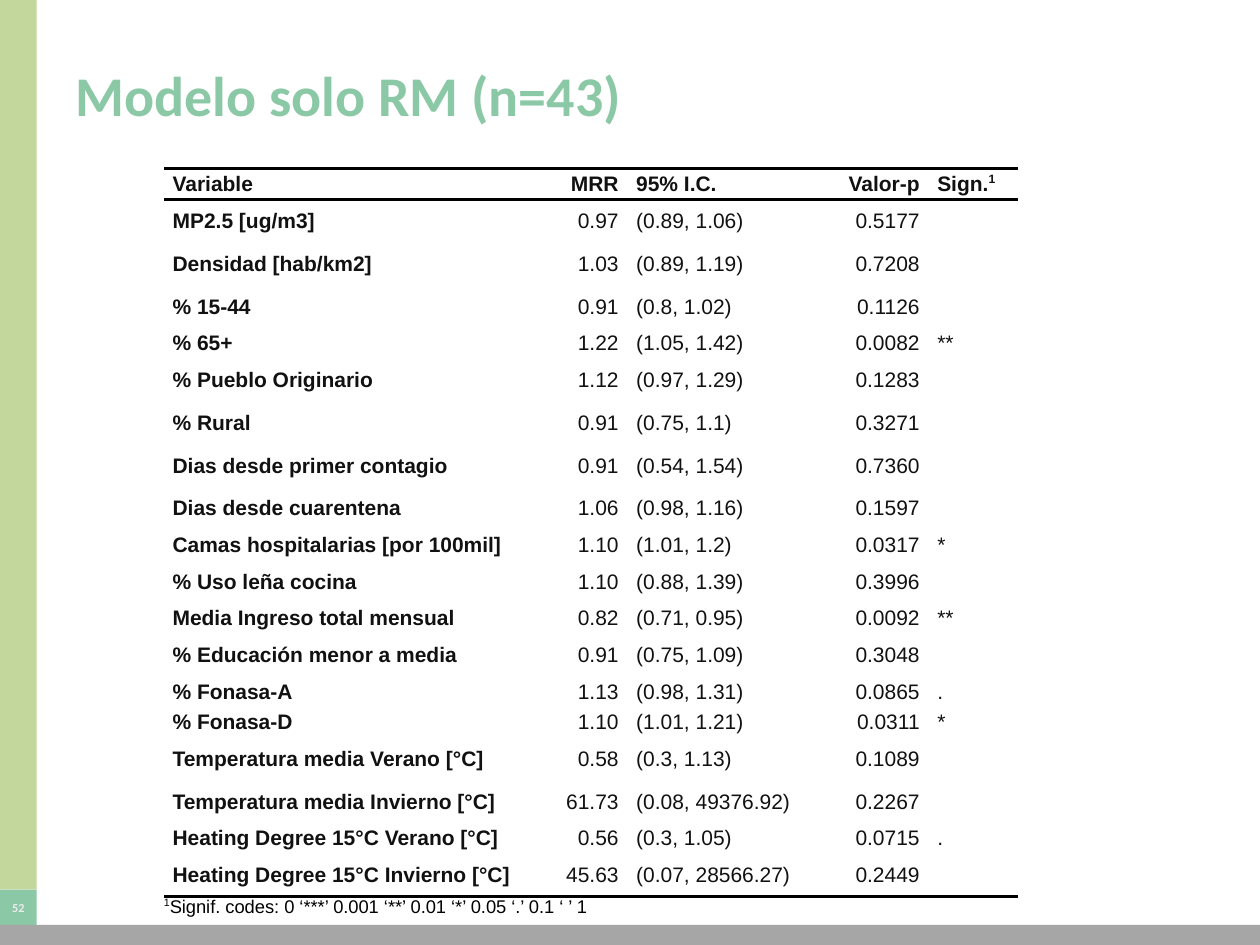
from dataclasses import dataclass
from typing import NamedTuple

from lxml import etree
from pptx import Presentation
from pptx import util as u
from pptx.dml.color import RGBColor
from pptx.enum import shapes, text
from pptx.oxml import ns


@dataclass(frozen=True)
class Theme:
    side: str = "C3D69B"
    accent: str = "8BC8A6"
    base: str = "A6A6A6"
    number: str = "ECECEC"
    ink: str = "111111"
    rule: str = "000000"
    heading_font: str = "Calibri"
    table_font: str = "Arial"
    title_size: float = 32
    table_size: float = 12
    note_size: float = 10.5
    number_size: float = 7
    rule_width: float = 2


class Bar(NamedTuple):
    left: float
    top: float
    width: float
    height: float
    color: str
    label: str = ""


class Result(NamedTuple):
    variable: str
    mrr: str
    interval: str
    p_value: str
    sign: str = ""


THEME = Theme()
LEFT, RIGHT = text.PP_ALIGN.LEFT, text.PP_ALIGN.RIGHT
PLAIN_TABLE_STYLE = "{2D5ABB26-0587-4C30-8999-92F81FD0307C}"

BARS = [
    Bar(0, 0, 0.29, 7.06, THEME.side),
    Bar(0, 7.06, 0.29, 0.29, THEME.accent, "52"),
    Bar(0, 7.34, 10, 0.16, THEME.base),
]

HEADER = Result("Variable", "MRR", "95% I.C.", "Valor-p", "Sign.")
RESULTS = [
    Result("MP2.5 [ug/m3]", "0.97", "(0.89, 1.06)", "0.5177"),
    Result("Densidad [hab/km2]", "1.03", "(0.89, 1.19)", "0.7208"),
    Result("% 15-44", "0.91", "(0.8, 1.02)", "0.1126"),
    Result("% 65+", "1.22", "(1.05, 1.42)", "0.0082", "**"),
    Result("% Pueblo Originario", "1.12", "(0.97, 1.29)", "0.1283"),
    Result("% Rural", "0.91", "(0.75, 1.1)", "0.3271"),
    Result("Dias desde primer contagio", "0.91", "(0.54, 1.54)", "0.7360"),
    Result("Dias desde cuarentena", "1.06", "(0.98, 1.16)", "0.1597"),
    Result("Camas hospitalarias [por 100mil]", "1.10", "(1.01, 1.2)", "0.0317", "*"),
    Result("% Uso leña cocina", "1.10", "(0.88, 1.39)", "0.3996"),
    Result("Media Ingreso total mensual", "0.82", "(0.71, 0.95)", "0.0092", "**"),
    Result("% Educación menor a media", "0.91", "(0.75, 1.09)", "0.3048"),
    Result("% Fonasa-A", "1.13", "(0.98, 1.31)", "0.0865", "."),
    Result("% Fonasa-D", "1.10", "(1.01, 1.21)", "0.0311", "*"),
    Result("Temperatura media Verano [°C]", "0.58", "(0.3, 1.13)", "0.1089"),
    Result("Temperatura media Invierno [°C]", "61.73", "(0.08, 49376.92)", "0.2267"),
    Result("Heating Degree 15°C Verano [°C]", "0.56", "(0.3, 1.05)", "0.0715", "."),
    Result("Heating Degree 15°C Invierno [°C]", "45.63", "(0.07, 28566.27)", "0.2449"),
]
NOTE = "Signif. codes: 0 ‘***’ 0.001 ‘**’ 0.01 ‘*’ 0.05 ‘.’ 0.1 ‘ ’ 1"
COLUMN_WIDTHS = [2.96, 0.72, 1.52, 0.87, 0.71]
COLUMN_ALIGNS = [LEFT, RIGHT, LEFT, RIGHT, LEFT]
# Rows without a significance mark are taller
MARKED_HEIGHT, UNMARKED_HEIGHT, NOTE_HEIGHT = 0.24, 0.34, 0.12


def style_font(font, name: str, size: float, color: str, bold: bool = False) -> None:
    font.name = name
    font.size = u.Pt(size)
    font.bold = bold
    font.color.rgb = RGBColor.from_string(color)


def add_bar(page, bar: Bar) -> None:
    box = page.shapes.add_shape(
        shapes.MSO_SHAPE.RECTANGLE,
        *(u.Inches(length) for length in bar[:4]),
    )
    box.shadow.inherit = False
    box.fill.solid()
    box.fill.fore_color.rgb = RGBColor.from_string(bar.color)
    box.line.fill.background()
    if bar.label:
        frame = box.text_frame
        frame.margin_left = frame.margin_right = 0
        frame.text = bar.label
        para = frame.paragraphs[0]
        para.alignment = text.PP_ALIGN.CENTER
        style_font(para.runs[0].font, THEME.heading_font, THEME.number_size,
                   THEME.number, bold=True)


def add_rule(cell, side: str) -> None:
    """Draw a cell border; side is 'lnT' or 'lnB'."""
    properties = cell._tc.get_or_add_tcPr()
    line = etree.SubElement(properties, ns.qn(f"a:{side}"), w=str(u.Pt(THEME.rule_width)))
    fill = etree.SubElement(line, ns.qn("a:solidFill"))
    etree.SubElement(fill, ns.qn("a:srgbClr"), val=THEME.rule)


def add_superscript(para, mark: str) -> None:
    span = para.add_run()
    span.text = mark
    span.font._element.set("baseline", "40000")


def format_cell(cell, sides: list[str], side_margin: float, end_margin: float) -> None:
    for side in sides:
        add_rule(cell, side)
    cell.fill.background()
    cell.vertical_anchor = text.MSO_ANCHOR.MIDDLE
    cell.margin_left = cell.margin_right = u.Inches(side_margin)
    cell.margin_top = cell.margin_bottom = u.Pt(end_margin)


def add_results_table(page) -> None:
    rows = [HEADER, *RESULTS]
    heights = [MARKED_HEIGHT if row.sign else UNMARKED_HEIGHT for row in rows]
    heights.append(NOTE_HEIGHT)
    table = page.shapes.add_table(
        len(heights), len(COLUMN_WIDTHS), u.Inches(1.3), u.Inches(1.34),
        u.Inches(sum(COLUMN_WIDTHS)), u.Inches(sum(heights)),
    ).table
    table.first_row = table.horz_banding = False
    table._tbl.tblPr.find(ns.qn("a:tableStyleId")).text = PLAIN_TABLE_STYLE
    for column, width in zip(table.columns, COLUMN_WIDTHS):
        column.width = u.Inches(width)
    for table_row, height in zip(table.rows, heights):
        table_row.height = u.Inches(height)

    # Header and results, ruled above and below the header and after the last row
    rules = {0: ["lnT", "lnB"], len(RESULTS): ["lnB"]}
    for row_index, row in enumerate(rows):
        for column_index, value in enumerate(row):
            cell = table.cell(row_index, column_index)
            format_cell(cell, rules.get(row_index, []), 0.07, 2 if value else 0)
            para = cell.text_frame.paragraphs[0]
            para.text = value
            para.alignment = COLUMN_ALIGNS[column_index]
            if row is HEADER and column_index == len(row) - 1:
                add_superscript(para, "1")
            for span in para.runs:
                style_font(span.font, THEME.table_font, THEME.table_size, THEME.ink,
                           bold=row is HEADER or column_index == 0)

    # Note across the whole width
    note_row, last_column = len(rows), len(COLUMN_WIDTHS) - 1
    note = table.cell(note_row, 0)
    note.merge(table.cell(note_row, last_column))
    for column_index in range(last_column + 1):
        format_cell(table.cell(note_row, column_index), [], 0, 0)
    para = note.text_frame.paragraphs[0]
    add_superscript(para, "1")
    para.add_run().text = NOTE
    for span in para.runs:
        style_font(span.font, THEME.table_font, THEME.note_size, THEME.rule)


def add_title(page, wording: str) -> None:
    title = page.shapes.title
    title.left, title.top = u.Inches(0.5), u.Inches(0.12)
    title.width, title.height = u.Inches(9), u.Inches(1.25)
    title.text_frame.text = wording
    title.text_frame.vertical_anchor = text.MSO_ANCHOR.MIDDLE
    para = title.text_frame.paragraphs[0]
    para.alignment = LEFT
    style_font(para.runs[0].font, THEME.heading_font, THEME.title_size, THEME.accent, bold=True)


def main() -> None:
    deck = Presentation()
    deck.slide_width, deck.slide_height = u.Inches(10), u.Inches(7.5)
    page = deck.slides.add_slide(deck.slide_layouts[5])
    for bar in BARS:
        add_bar(page, bar)
    add_title(page, "Modelo solo RM (n=43)")
    add_results_table(page)
    deck.save("out.pptx")


if __name__ == "__main__":
    main()
